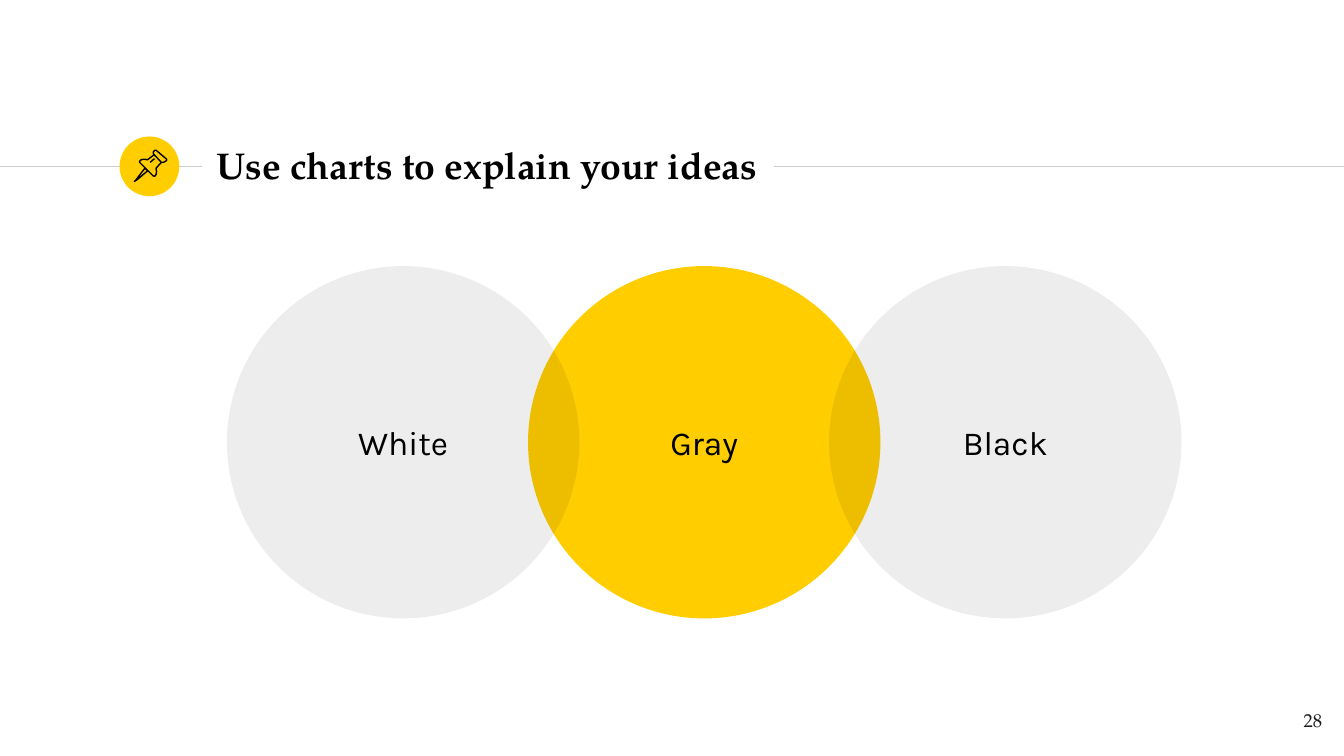
"""Build the slide 'Use charts to explain your ideas' with three overlapping circles."""
import pptx
import pptx.dml.color
import pptx.enum.shapes
import pptx.enum.text
import pptx.oxml.ns
import pptx.util
from lxml import etree

Cm = pptx.util.Cm
Pt = pptx.util.Pt
RGB = pptx.dml.color.RGBColor.from_string
ALIGN = pptx.enum.text.PP_ALIGN
ANCHOR = pptx.enum.text.MSO_ANCHOR
OVAL = pptx.enum.shapes.MSO_SHAPE.OVAL
COLORS = {"yellow": "FFCD00", "black": "000000", "rule": "CCCCCC", "number": "1D1D1B"}
SERIF, SANS = "TeX Gyre Pagella", "Karla"


def add_circle(left, top, diameter, color):
    circle = slide.shapes.add_shape(OVAL, Cm(left), Cm(top), Cm(diameter), Cm(diameter))
    circle.shadow.inherit = False
    circle.fill.solid()
    circle.fill.fore_color.rgb = RGB(COLORS[color])
    circle.line.fill.background()
    return circle


def write(holder, text, font, size, color, align, anchor, bold=False):
    frame = holder.text_frame
    frame.word_wrap = True
    frame.vertical_anchor = anchor
    frame.margin_left = frame.margin_right = Cm(0.25)
    frame.margin_top = frame.margin_bottom = Cm(0.25)
    frame.text = text
    paragraph = frame.paragraphs[0]
    paragraph.alignment = align
    run_font = paragraph.runs[0].font
    run_font.name = font
    run_font.size = Pt(size)
    run_font.bold = bold
    run_font.color.rgb = RGB(COLORS[color])


deck = pptx.Presentation()
deck.slide_width, deck.slide_height = Cm(25.4), Cm(14.29)
slide = deck.slides.add_slide(deck.slide_layouts[6])

for start, end in [(0, 3.81), (14.63, 25.4)]:
    rule = slide.shapes.add_connector(
        pptx.enum.shapes.MSO_CONNECTOR.STRAIGHT, Cm(start), Cm(3.15), Cm(end), Cm(3.15))
    rule.line.color.rgb = RGB(COLORS["rule"])
    rule.line.width = Pt(0.75)
    etree.SubElement(rule._element.spPr, pptx.oxml.ns.qn("a:effectLst"))

add_circle(2.26, 2.58, 1.13, "yellow")

title = slide.shapes.add_textbox(Cm(3.84), Cm(2.5), Cm(10.77), Cm(1.22))
write(title, "Use charts to explain your ideas", SERIF, 20, "black",
      ALIGN.LEFT, ANCHOR.MIDDLE, bold=True)

for label, column, color, opacity in [
    ("Gray", 1, "yellow", 100),
    ("White", 0, "black", 7),
    ("Black", 2, "black", 7),
]:
    circle = add_circle(4.29 + 5.69 * column, 5.03, 6.66, color)
    write(circle, label, SANS, 18, "black", ALIGN.CENTER, ANCHOR.MIDDLE)
    if opacity < 100:
        tint = circle._element.spPr.find(".//" + pptx.oxml.ns.qn("a:srgbClr"))
        etree.SubElement(tint, pptx.oxml.ns.qn("a:alpha"), val=str(opacity * 1000))

needle = [(274, 318), (257, 340), (254, 343), (259, 340), (279, 323)]
cap = [(291, 292), (305, 307), (309, 307), (313, 305), (315, 303), (315, 301),
       (295, 284), (293, 284), (290, 287), (290, 290)]
body = [(292, 292), (279, 302), (272, 301), (267, 302), (264, 305), (264, 307),
        (290, 333), (293, 333), (295, 330), (296, 325), (295, 318), (305, 307)]
shine = [(284, 307), (292, 300)]
pushpin = slide.shapes.add_group_shape()
for points, closed in [(needle, True), (cap, True), (body, False), (shine, False)]:
    outline = pushpin.shapes.build_freeform(*points[0], scale=Cm(0.01))
    outline.add_line_segments(points[1:], close=closed)
    part = outline.convert_to_shape()
    part.shadow.inherit = False
    part.fill.background()
    part.line.color.rgb = RGB(COLORS["black"])
    part.line.width = Pt(0.75)

page_number = slide.shapes.add_textbox(Cm(23.72), Cm(13.18), Cm(1.52), Cm(1.09))
write(page_number, "28", SERIF, 10, "number", ALIGN.RIGHT, ANCHOR.TOP)

deck.save("out.pptx")
